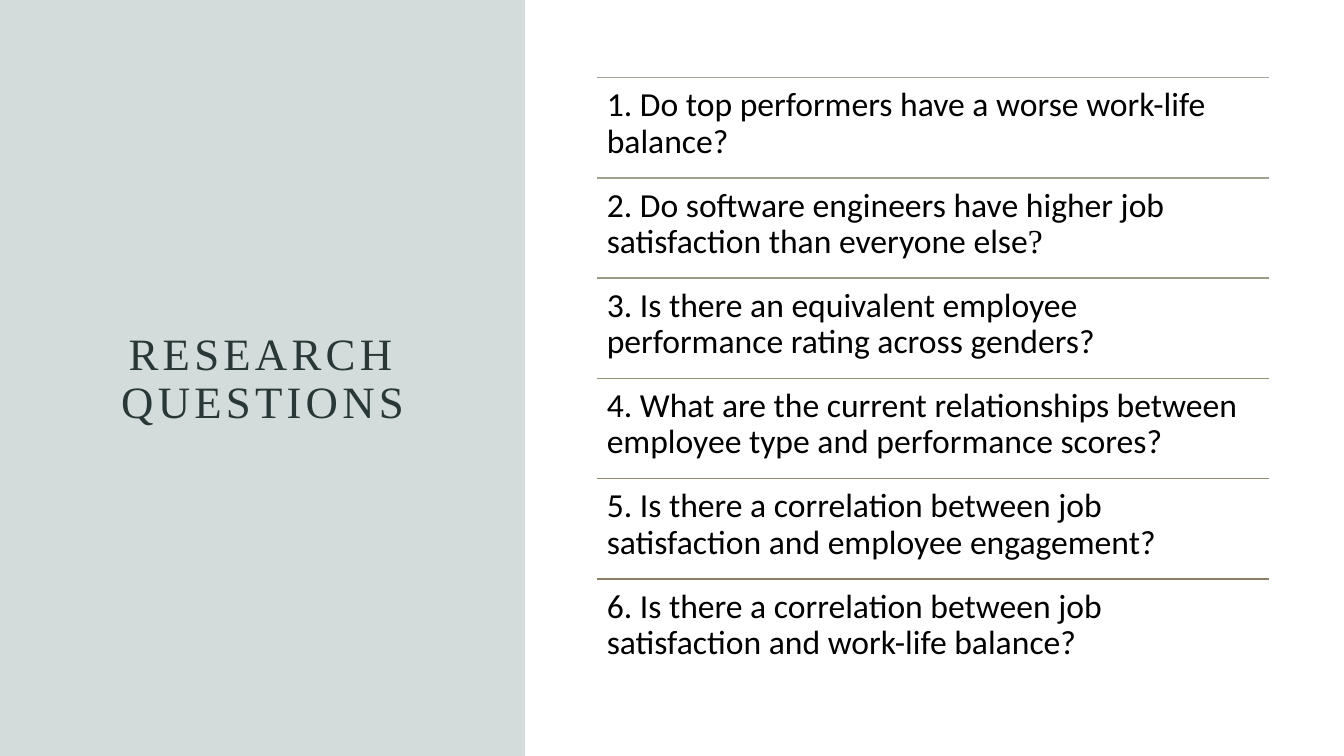
from dataclasses import dataclass

from lxml.etree import SubElement
from pptx import Presentation
from pptx.dml.color import RGBColor
from pptx.enum.shapes import MSO_CONNECTOR as Connector, MSO_SHAPE as Shape
from pptx.enum.text import MSO_ANCHOR as Anchor, PP_ALIGN as Align
from pptx.oxml.ns import qn
from pptx.util import Inches, Pt

# Content
TITLE = "RESEARCH QUESTIONS"
SANS, SERIF = "Calibri", "Times New Roman"
# Each question: rule colour, then (text, font) spans
QUESTIONS = [
    ("A2A79A", [("1. Do top performers have a worse work-life balance?", SANS)]),
    ("9DA18F", [("2. Do software engineers have higher job satisfaction than everyone else", SANS),
                ("?", SERIF)]),
    ("999B85", [("3. Is there an equivalent employee performance rating across genders?", SANS)]),
    ("969579", [("4. What are the current relationships between employee type "
                 "and performance scores?", SANS)]),
    ("908B6E", [("5. Is there a correlation between job satisfaction "
                 "and employee engagement?", SANS)]),
    ("897F65", [("6. Is there a correlation between job satisfaction "
                 "and work-life balance?", SANS)]),
]


@dataclass(frozen=True)
class Theme:
    panel: str = "557272"
    panel_alpha: int = 25
    title: str = "293737"
    body: str = "000000"
    title_size: int = 32
    body_size: int = 24
    title_tracking: int = 3
    line_spacing: float = 0.9
    rule_width: int = 1


THEME = Theme()

# Layout in inches
PAGE_WIDTH, PAGE_HEIGHT = 13.33, 7.5
PANEL_WIDTH = 5.21
TITLE_BOX = (0.75, 0.77, 3.71, 6)
LIST_LEFT, LIST_TOP, LIST_WIDTH, LIST_HEIGHT = 5.92, 0.77, 6.67, 5.97
ROW_HEIGHT = LIST_HEIGHT / len(QUESTIONS)


def add_text(page, bounds, spans, *, size, color, align=Align.LEFT,
             anchor=Anchor.TOP, inset=0.1, tracking=0):
    box = page.shapes.add_textbox(*map(Inches, bounds))
    frame = box.text_frame
    frame.word_wrap = True
    frame.vertical_anchor = anchor
    frame.margin_left = frame.margin_right = Inches(inset)
    frame.margin_top = frame.margin_bottom = Inches(inset)
    para = frame.paragraphs[0]
    para.alignment = align
    para.line_spacing = THEME.line_spacing
    for text, font_name in spans:
        span = para.add_run()
        span.text = text
        span.font.name = font_name
        span.font.size = Pt(size)
        span.font.color.rgb = RGBColor.from_string(color)
        if tracking:
            span.font._element.set("spc", str(tracking * 100))


def add_rule(page, left, top, width, color):
    rule = page.shapes.add_connector(Connector.STRAIGHT, Inches(left), Inches(top),
                                     Inches(left + width), Inches(top))
    rule.line.color.rgb = RGBColor.from_string(color)
    rule.line.width = Pt(THEME.rule_width)
    SubElement(rule._element.spPr, qn("a:effectLst"))


def add_panel(page):
    panel = page.shapes.add_shape(Shape.RECTANGLE, 0, 0,
                                  Inches(PANEL_WIDTH), Inches(PAGE_HEIGHT))
    panel.shadow.inherit = False
    panel.line.fill.background()
    panel.fill.solid()
    panel.fill.fore_color.rgb = RGBColor.from_string(THEME.panel)
    color = panel._element.spPr.find(f".//{qn('a:srgbClr')}")
    SubElement(color, qn("a:alpha"), val=str(THEME.panel_alpha * 1000))


def main():
    deck = Presentation()
    deck.slide_width, deck.slide_height = Inches(PAGE_WIDTH), Inches(PAGE_HEIGHT)
    page = deck.slides.add_slide(deck.slide_layouts[6])

    # Title panel
    add_panel(page)
    add_text(page, TITLE_BOX, [(TITLE, SERIF)], size=THEME.title_size, color=THEME.title,
             align=Align.CENTER, anchor=Anchor.MIDDLE, tracking=THEME.title_tracking)

    # Ruled list of questions
    for index, (rule_color, spans) in enumerate(QUESTIONS):
        top = LIST_TOP + index * ROW_HEIGHT
        add_rule(page, LIST_LEFT, top, LIST_WIDTH, rule_color)
        add_text(page, (LIST_LEFT, top, LIST_WIDTH, ROW_HEIGHT), spans,
                 size=THEME.body_size, color=THEME.body)

    deck.save("out.pptx")


if __name__ == "__main__":
    main()
